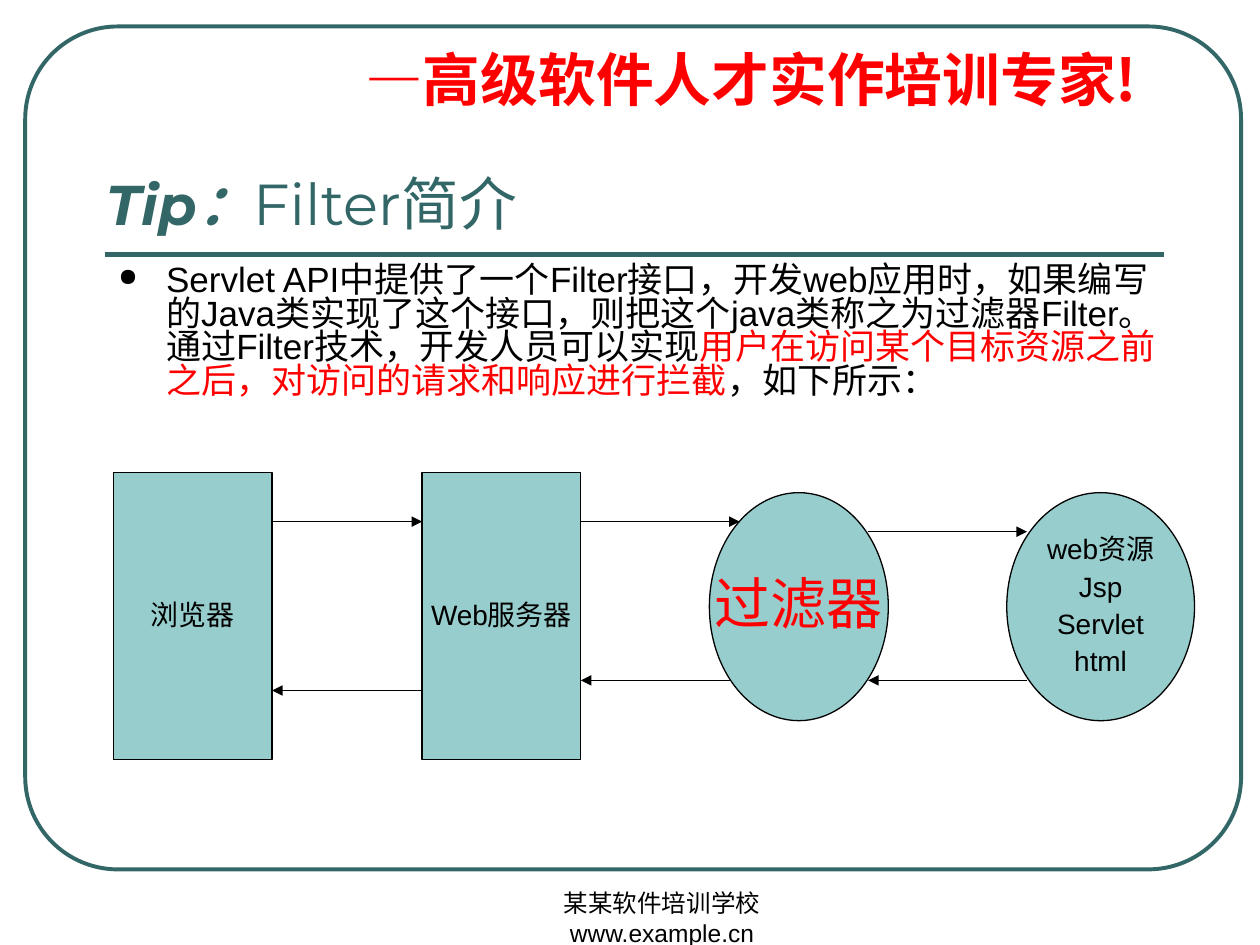
import pptx
import pptx.dml.color
import pptx.enum.shapes
import pptx.enum.text
import pptx.oxml.ns
import pptx.util
import lxml.etree

Inches = pptx.util.Inches
Pt = pptx.util.Pt
qn = pptx.oxml.ns.qn
RGBColor = pptx.dml.color.RGBColor
SHAPE = pptx.enum.shapes.MSO_SHAPE
ANCHOR = pptx.enum.text.MSO_ANCHOR
CENTER = pptx.enum.text.PP_ALIGN.CENTER

TEAL = RGBColor(0x33, 0x66, 0x66)
AQUA = RGBColor(0x97, 0xCD, 0xCC)
RED = RGBColor(0xFF, 0x00, 0x00)
BLACK = RGBColor(0x00, 0x00, 0x00)
CHINESE_FONT = "Noto Sans CJK SC"


def write_paragraph(para, runs, paragraph_format, hanging=True):
    """Fill a paragraph from (text, color, font format) runs."""
    for name, value in paragraph_format.items():
        setattr(para, name, value)
    if hanging:
        properties = para._p.get_or_add_pPr()
        properties.set("marL", str(Inches(0.38)))
        properties.set("indent", str(-Inches(0.38)))
    for text, color, font_format in runs:
        span = para.add_run()
        span.text = text
        span.font.color.rgb = color
        for name, value in font_format.items():
            setattr(span.font, name, value)
        east_asian = lxml.etree.SubElement(span.font._element, qn("a:ea"))
        east_asian.set("typeface", CHINESE_FONT)


def add_line(start, end, color, width):
    line = slide.shapes.add_connector(
        pptx.enum.shapes.MSO_CONNECTOR.STRAIGHT,
        *[Inches(value) for value in start + end])
    line.line.color.rgb = color
    line.line.width = Pt(width)
    lxml.etree.SubElement(line._element.spPr, qn("a:effectLst"))
    return line


deck = pptx.Presentation()
deck.slide_width, deck.slide_height = Inches(10), Inches(7.5)
slide = deck.slides.add_slide(deck.slide_layouts[6])

# Frame and title rule
frame = slide.shapes.add_shape(
    SHAPE.ROUNDED_RECTANGLE, Inches(0.2), Inches(0.21), Inches(9.65), Inches(6.69))
frame.adjustments[0] = 0.11
frame.shadow.inherit = False
frame.fill.background()
frame.line.color.rgb = TEAL
frame.line.width = Pt(2.25)
add_line((0.83, 2.02), (9.24, 2.02), TEAL, 3)

# Slogan, footer, title and body text
slogan = {"size": Pt(33), "bold": True}
body = {"size": Pt(20), "name": "Arial"}
texts = [
    ((2.8, 0.36, 6.3, 1.09), ANCHOR.TOP, True,
     {"line_spacing": 0.9, "space_before": Pt(8.2)},
     [("—", RED, slogan | {"name": "Montserrat"}),
      ("高级软件人才实作培训专家!", RED, slogan | {"name": CHINESE_FONT})]),
    ((3.67, 7, 3.17, 0.5), ANCHOR.TOP, False, {"alignment": CENTER},
     [("某某软件培训学校 www.example.cn", BLACK, {"size": Pt(14), "name": "Arial"})]),
    ((0.75, 0.36, 8.42, 1.57), ANCHOR.BOTTOM, False, {},
     [("Tip：", TEAL,
       {"size": Pt(32), "name": "Montserrat", "bold": True, "italic": True}),
      ("Filter简介", TEAL, {"size": Pt(33), "name": "Montserrat"})]),
    ((0.84, 2.06, 8.49, 1.53), ANCHOR.TOP, True,
     {"line_spacing": 0.8, "space_before": Pt(5)},
     [("Servlet API中提供了一个Filter接口，开发web应用时，如果编写的Java类实现了这个接口，"
       "则把这个java类称之为过滤器Filter。通过Filter技术，开发人员可以实现", BLACK, body),
      ("用户在访问某个目标资源之前之后，对访问的请求和响应进行拦截", RED, body),
      ("，如下所示：", BLACK, body)]),
]
for place, anchor, hanging, paragraph_format, runs in texts:
    box = slide.shapes.add_textbox(*[Inches(value) for value in place])
    box.text_frame.word_wrap = True
    box.text_frame.vertical_anchor = anchor
    para = box.text_frame.paragraphs[0]
    write_paragraph(para, runs, paragraph_format, hanging)

# The body, written last, has a bullet
properties = para._p.get_or_add_pPr()
bullet_color = lxml.etree.SubElement(properties, qn("a:buClr"))
lxml.etree.SubElement(bullet_color, qn("a:srgbClr")).set("val", str(BLACK))
lxml.etree.SubElement(properties, qn("a:buSzPct")).set("val", "70000")
lxml.etree.SubElement(properties, qn("a:buChar")).set("char", "●")

# Stations of the request
stations = [
    (SHAPE.RECTANGLE, (0.9, 3.75, 1.26, 2.28), ["浏览器"], 16, BLACK),
    (SHAPE.RECTANGLE, (3.35, 3.75, 1.26, 2.28), ["Web服务器"], 16, BLACK),
    (SHAPE.OVAL, (7.99, 3.91, 1.49, 1.81), ["web资源", "Jsp", "Servlet", "html"], 16, BLACK),
    (SHAPE.OVAL, (5.63, 3.91, 1.42, 1.81), ["过滤器"], 32, RED),
]
for kind, place, lines, size, color in stations:
    station = slide.shapes.add_shape(kind, *[Inches(value) for value in place])
    station.shadow.inherit = False
    station.fill.solid()
    station.fill.fore_color.rgb = AQUA
    station.line.color.rgb = BLACK
    station.line.width = Pt(0.75)
    frame_text = station.text_frame
    frame_text.word_wrap = False
    frame_text.vertical_anchor = ANCHOR.MIDDLE
    for index, text in enumerate(lines):
        para = frame_text.add_paragraph() if index else frame_text.paragraphs[0]
        write_paragraph(
            para, [(text, color, {"size": Pt(size), "name": "Arial"})],
            {"alignment": CENTER, "line_spacing": 0.9, "space_before": Pt(size / 4)})

# Requests run right, responses run left
arrows = [
    (4.61, 5.87, 4.14), (6.89, 8.15, 4.22), (8.15, 6.89, 5.4),
    (5.79, 4.61, 5.4), (2.16, 3.35, 4.14), (3.35, 2.16, 5.48),
]
for start, end, height in arrows:
    arrow = add_line((start, height), (end, height), BLACK, 0.75)
    outline = arrow.line._get_or_add_ln()
    lxml.etree.SubElement(outline, qn("a:tailEnd")).set("type", "triangle")

deck.save("out.pptx")
